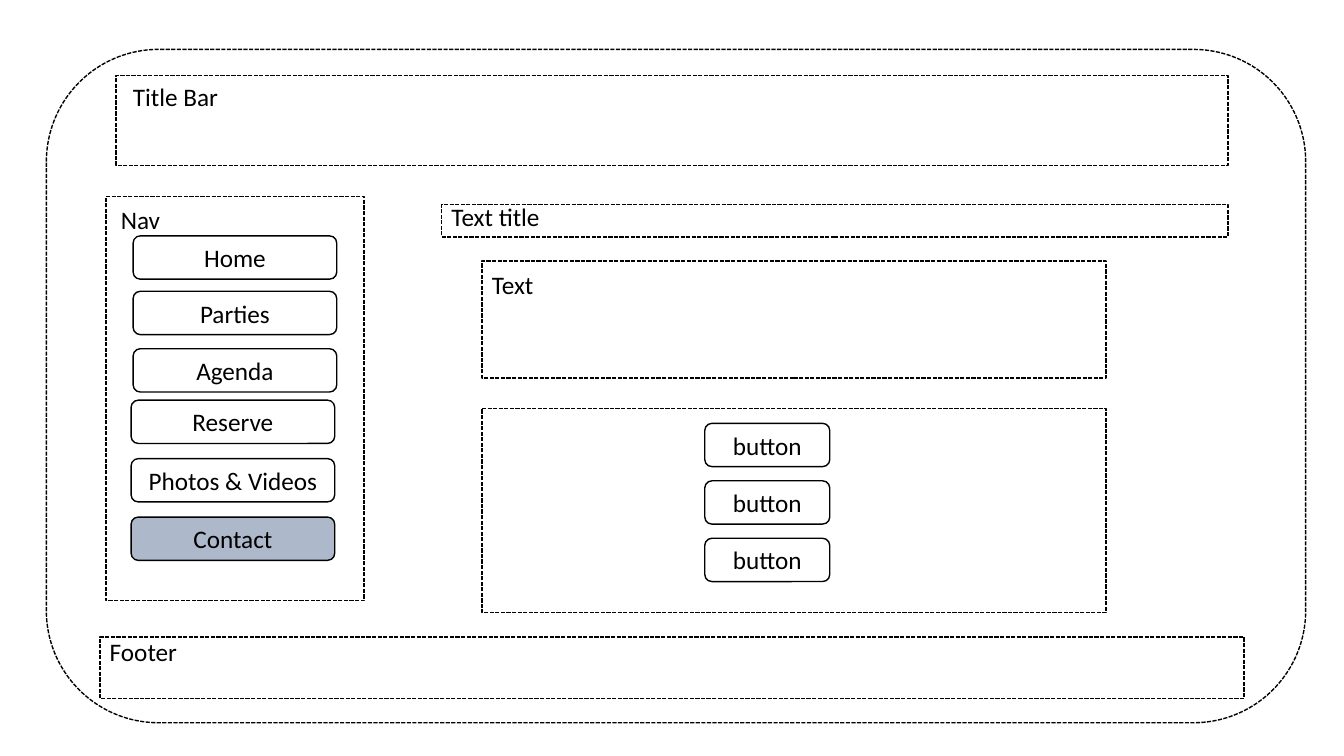
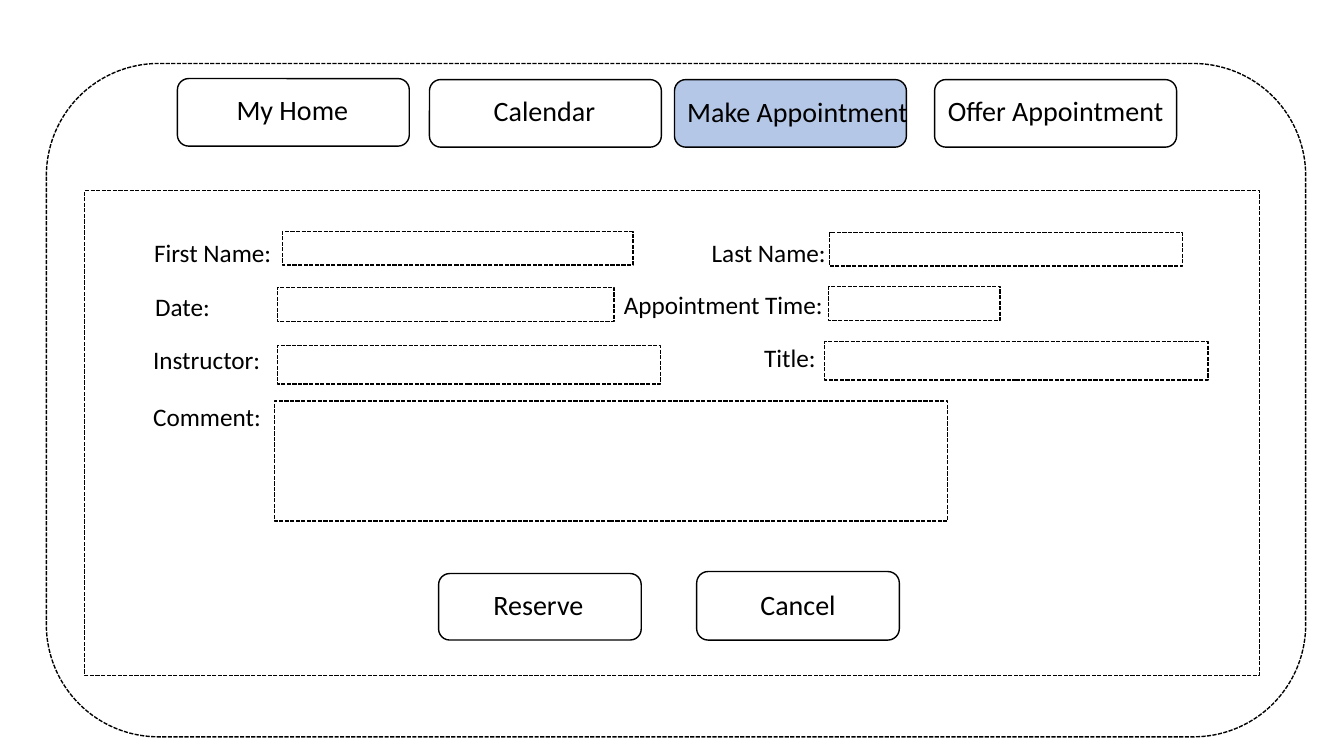
from dataclasses import dataclass
from pptx import Presentation, util as u
from pptx.dml.color import RGBColor
from pptx.enum import dml, shapes, text


@dataclass(frozen=True)
class Theme:
    font: str = "Calibri"
    ink: str = "000000"
    paper: str = "FFFFFF"
    current_page: str = "ADB9CA"
    current_tab: str = "B4C7E7"
    body: int = 18
    tab: int = 20
    line: int = 1


theme = Theme()
RECT = shapes.MSO_SHAPE.RECTANGLE
ROUND = shapes.MSO_SHAPE.ROUNDED_RECTANGLE
LEFT, CENTER = text.PP_ALIGN.LEFT, text.PP_ALIGN.CENTER

deck = Presentation()
deck.slide_width, deck.slide_height = u.Inches(13.33), u.Inches(7.5)


def add_box(parent, kind, at, fill=None, dashed=False):
    box = parent.add_shape(kind, *map(u.Inches, at))
    box.shadow.inherit = False
    if fill:
        box.fill.solid()
        box.fill.fore_color.rgb = RGBColor.from_string(fill)
    else:
        box.fill.background()
    box.line.color.rgb = RGBColor.from_string(theme.ink)
    box.line.width = u.Pt(theme.line)
    if dashed:
        box.line.dash_style = dml.MSO_LINE.SQUARE_DOT
    return box


def write(box, words, size=theme.body, align=LEFT, anchor=text.MSO_ANCHOR.TOP):
    frame = box.text_frame
    frame.word_wrap = True
    frame.vertical_anchor = anchor
    para = frame.paragraphs[0]
    para.text = words
    para.alignment = align
    para.font.name = theme.font
    para.font.size = u.Pt(size)
    para.font.color.rgb = RGBColor.from_string(theme.ink)


site = {
    "frame_top": 0.49,
    "areas": [
        (1.05, 1.95, 2.56, 4.01), (1.15, 0.75, 11.03, 0.89),
        (0.99, 6.32, 11.35, 0.61), (4.38, 2.03, 7.8, 0.32),
        (4.78, 4.05, 6.19, 2.03), (4.78, 2.59, 6.19, 1.16),
    ],
    "labels": [
        ("Nav", 1.1, 1.98, 0.86), ("Title Bar", 1.22, 0.76, 1.27),
        ("Footer", 0.99, 6.26, 1.27), ("Text title", 4.38, 1.95, 1.67),
        ("Text", 4.78, 2.62, 1.67),
    ],
}
form = {
    "frame_top": 0.63,
    "areas": [
        (0.84, 1.89, 11.65, 4.81),
        (2.8, 2.3, 3.48, 0.33), (8.23, 2.31, 3.5, 0.33),
        (2.75, 2.85, 3.34, 0.34), (8.22, 2.84, 1.7, 0.34),
        (2.75, 3.43, 3.8, 0.38), (8.18, 3.39, 3.8, 0.38),
        (2.72, 3.98, 6.68, 1.19),
    ],
    "labels": [
        ("First Name:", 1.43, 2.31, 2.74), ("Last Name:", 6.96, 2.31, 2.74),
        ("Date:", 1.44, 2.84, 1.76), ("Appointment Time:", 6.09, 2.82, 2.46),
        ("Instructor:", 1.42, 3.37, 2.46), ("Title:", 7.48, 3.35, 2.46),
        ("Comment:", 1.42, 3.93, 2.51),
    ],
}

pages = []
for wireframe in (site, form):
    page = deck.slides.add_slide(deck.slide_layouts[6])
    pages.append(page)
    add_box(page.shapes, ROUND, (0.46, wireframe["frame_top"], 12.49, 6.68), dashed=True)
    for area in wireframe["areas"]:
        add_box(page.shapes, RECT, area, theme.paper, dashed=True)
    for words, left, top, width in wireframe["labels"]:
        label = page.shapes.add_textbox(*map(u.Inches, (left, top, width, 0.4)))
        write(label, words)
        label.text_frame.auto_size = text.MSO_AUTO_SIZE.SHAPE_TO_FIT_TEXT

site_page, form_page = pages

nav_width, choice_width, button_height = 2.02, 1.24, 0.43
site_buttons = [
    ("Home", 1.32, 2.34, nav_width), ("Parties", 1.32, 2.89, nav_width),
    ("Agenda", 1.32, 3.46, nav_width), ("Reserve", 1.3, 3.97, nav_width),
    ("Photos & Videos", 1.3, 4.55, nav_width), ("Contact", 1.3, 5.13, nav_width),
]
site_buttons += [("button", 6.99, 4.2 + 0.57 * row, choice_width) for row in range(3)]
for words, left, top, width in site_buttons:
    fill = theme.current_page if words == "Contact" else theme.paper
    button = add_box(site_page.shapes, ROUND, (left, top, width, button_height), fill)
    write(button, words, align=CENTER, anchor=text.MSO_ANCHOR.MIDDLE)

form_buttons = [
    ("My Home", (1.76, 0.78, 2.3, 0.67), (1.85, 0.87, 2.1, 0.44)),
    ("Calendar", (4.26, 0.79, 2.3, 0.67), (4.35, 0.88, 2.1, 0.44)),
    ("Make Appointment", (6.69, 0.79, 2.3, 0.67), (6.67, 0.89, 2.48, 0.44)),
    ("Offer Appointment", (9.27, 0.79, 2.4, 0.67), (9.27, 0.88, 2.4, 0.44)),
    ("Reserve", (4.35, 5.69, 2.01, 0.66), (4.42, 5.78, 1.84, 0.44)),
    ("Cancel", (6.91, 5.67, 2.01, 0.68), (7.02, 5.78, 1.79, 0.44)),
]
for words, outline, caption_at in form_buttons:
    button = form_page.shapes.add_group_shape()
    fill = theme.current_tab if words == "Make Appointment" else None
    add_box(button.shapes, ROUND, outline, fill)
    caption = button.shapes.add_textbox(*map(u.Inches, caption_at))
    write(caption, words, theme.tab, CENTER)
    caption.text_frame.auto_size = text.MSO_AUTO_SIZE.SHAPE_TO_FIT_TEXT

deck.save("out.pptx")
